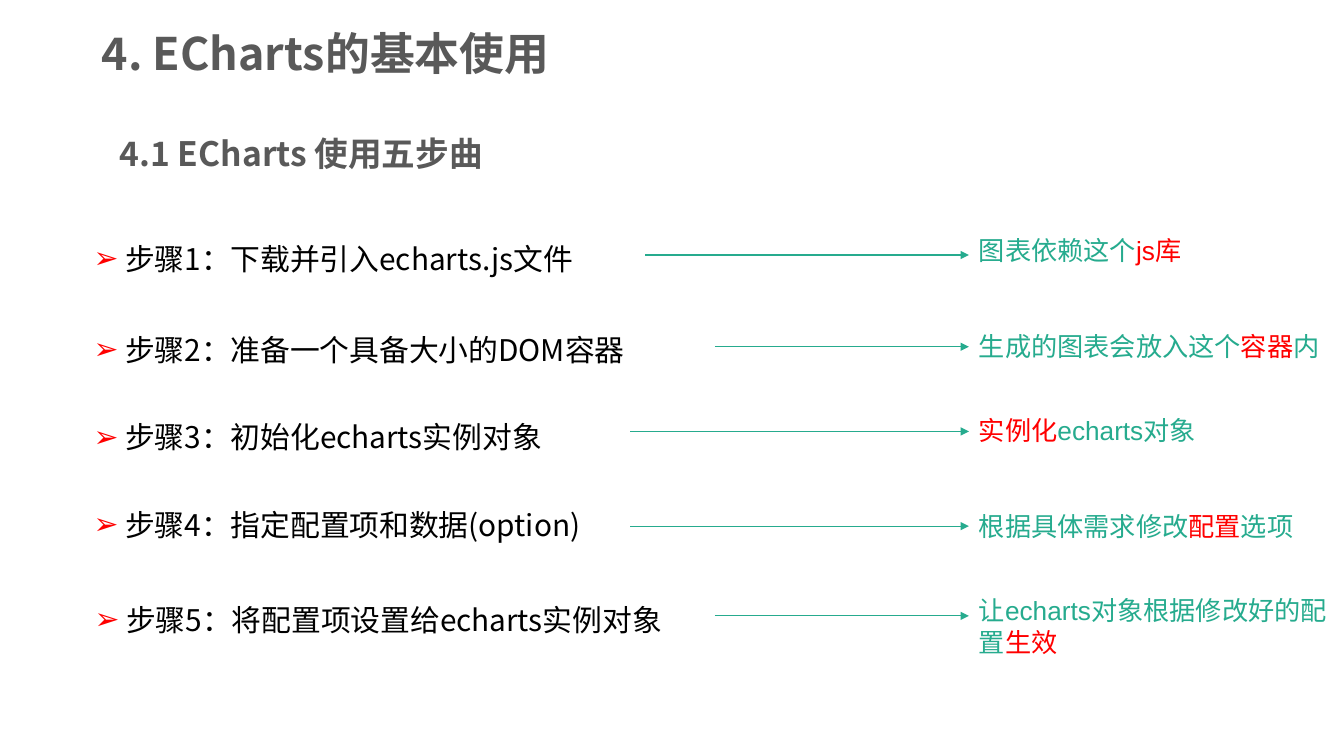
from dataclasses import dataclass

from lxml import etree
from pptx import Presentation
from pptx.dml.color import RGBColor
from pptx.enum.shapes import MSO_CONNECTOR
from pptx.enum.text import MSO_ANCHOR, MSO_AUTO_SIZE
from pptx.oxml.ns import qn
from pptx.slide import Slide
from pptx.text.text import TextFrame, _Paragraph
from pptx.util import Inches, Pt

STRAIGHT = MSO_CONNECTOR.STRAIGHT
MIDDLE = MSO_ANCHOR.MIDDLE
FIT_SHAPE = MSO_AUTO_SIZE.SHAPE_TO_FIT_TEXT

GREY = RGBColor(0x59, 0x59, 0x59)
BLACK = RGBColor(0x00, 0x00, 0x00)
GREEN = RGBColor(0x26, 0xAB, 0x8E)
RED = RGBColor(0xFF, 0x00, 0x00)

HEADING_FONT = "Noto Sans CJK SC"
NOTE_FONT = "Arial"
NOTE_LEFT = 9.61
NOTE_SIZE = 18.7
STEP_SIZE = 21.3
STEP_HEIGHT = 0.64
STEP_INDENT = 0.25


@dataclass(frozen=True)
class Phrase:
    text: str
    color: RGBColor


@dataclass(frozen=True)
class Step:
    text: str
    left: float
    top: float
    width: float
    arrow_start: float
    arrow_y: float
    note: tuple[Phrase, ...]
    note_top: float
    note_width: float
    note_height: float = 0.42


STEPS = (
    Step("下载并引入echarts.js文件", 0.58, 2.16, 5.54, 6.4, 2.53,
         (Phrase("图表依赖这个", GREEN), Phrase("js库", RED)), 2.28, 3.36),
    Step("准备一个具备大小的DOM容器", 0.58, 3.06, 6.17, 7.09, 3.44,
         (Phrase("生成的图表会放入这个", GREEN), Phrase("容器", RED),
          Phrase("内", GREEN)), 3.23, 3.68),
    Step("初始化echarts实例对象", 0.58, 3.93, 5.25, 6.25, 4.28,
         (Phrase("实例化", RED), Phrase("echarts对象", GREEN)), 4.06, 3.36),
    Step("指定配置项和数据(option)", 0.58, 4.8, 5.65, 6.25, 5.22,
         (Phrase("根据具体需求修改", GREEN), Phrase("配置", RED),
          Phrase("选项", GREEN)), 5.01, 3.67),
    Step("将配置项设置给echarts实例对象", 0.59, 5.74, 6.45, 7.09, 6.11,
         (Phrase("让echarts对象根据修改好的配置", GREEN), Phrase("生效", RED)),
         5.85, 3.68, 0.73),
)


def add_text(slide: Slide, left: float, top: float, width: float, height: float,
             phrases: tuple[Phrase, ...], font: str, size: float,
             bold: bool = False) -> TextFrame:
    """Add a wrapping one-paragraph text box with one run per phrase."""
    box = slide.shapes.add_textbox(Inches(left), Inches(top), Inches(width), Inches(height))
    frame = box.text_frame
    frame.word_wrap = True
    for phrase in phrases:
        run = frame.paragraphs[0].add_run()
        run.text = phrase.text
        run.font.name = font
        run.font.size = Pt(size)
        run.font.bold = bold
        run.font.color.rgb = phrase.color
        east_asian = etree.SubElement(run.font._element, qn("a:ea"))
        east_asian.set("typeface", font)
    return frame


def add_arrow_bullet(paragraph: _Paragraph) -> None:
    properties = paragraph._p.get_or_add_pPr()
    properties.set("marL", str(Inches(STEP_INDENT)))
    properties.set("indent", "0")
    bullet_color = etree.SubElement(properties, qn("a:buClr"))
    etree.SubElement(bullet_color, qn("a:srgbClr")).set("val", str(RED))
    etree.SubElement(properties, qn("a:buFont")).set("typeface", NOTE_FONT)
    etree.SubElement(properties, qn("a:buChar")).set("char", "➢")


def add_arrow(slide: Slide, start: float, end: float, y: float) -> None:
    arrow = slide.shapes.add_connector(
        STRAIGHT, Inches(start), Inches(y), Inches(end), Inches(y))
    arrow.line.color.rgb = GREEN
    arrow.line.width = Pt(0.75)
    etree.SubElement(arrow.line._get_or_add_ln(), qn("a:tailEnd")).set("type", "triangle")
    etree.SubElement(arrow._element.spPr, qn("a:effectLst"))


def add_step(slide: Slide, number: int, step: Step) -> None:
    """Add one step, its arrow and the note the arrow points to."""
    label = Phrase(f" 步骤{number}：{step.text}", BLACK)
    step_frame = add_text(slide, step.left, step.top, step.width, STEP_HEIGHT,
                          (label,), HEADING_FONT, STEP_SIZE)
    step_frame.word_wrap = False
    step_frame.auto_size = FIT_SHAPE
    paragraph = step_frame.paragraphs[0]
    add_arrow_bullet(paragraph)
    paragraph.level = 1
    paragraph.line_spacing = 1.5

    note_frame = add_text(slide, NOTE_LEFT, step.note_top, step.note_width,
                          step.note_height, step.note, NOTE_FONT, NOTE_SIZE)
    note_frame.auto_size = FIT_SHAPE
    add_arrow(slide, step.arrow_start, NOTE_LEFT, step.arrow_y)


def main() -> None:
    presentation = Presentation()
    presentation.slide_width = Inches(13.33)
    presentation.slide_height = Inches(7.5)
    slide = presentation.slides.add_slide(presentation.slide_layouts[6])

    title = add_text(slide, 0.91, -0.03, 7.85, 1.18,
                     (Phrase("4. ECharts的基本使用", GREY),), HEADING_FONT, 32, bold=True)
    title.vertical_anchor = MIDDLE
    title.paragraphs[0].line_spacing = 0.9

    subtitle = add_text(slide, 1.09, 1.19, 9.83, 0.68,
                        (Phrase("4.1 ECharts 使用五步曲", GREY),), HEADING_FONT, 24, bold=True)
    subtitle.paragraphs[0].line_spacing = 1.2

    for number, step in enumerate(STEPS, start=1):
        add_step(slide, number, step)

    presentation.save("out.pptx")


if __name__ == "__main__":
    main()
